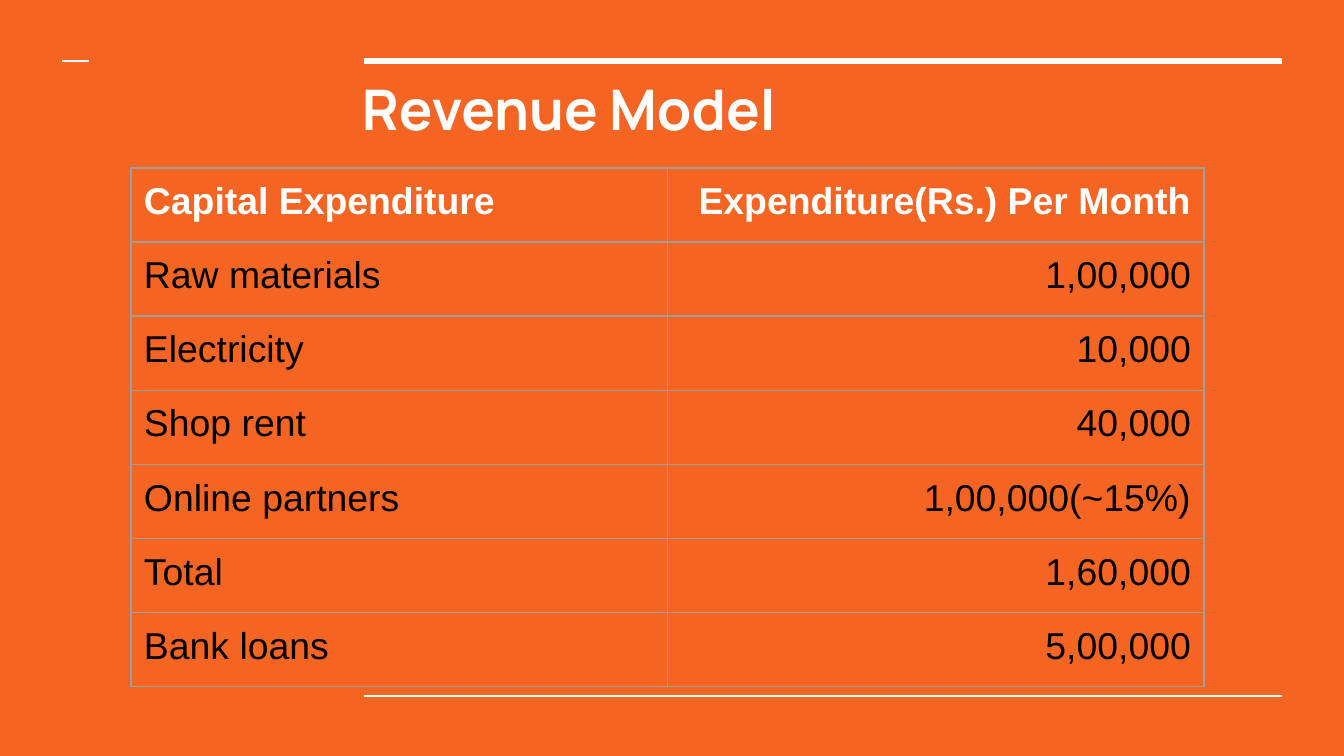
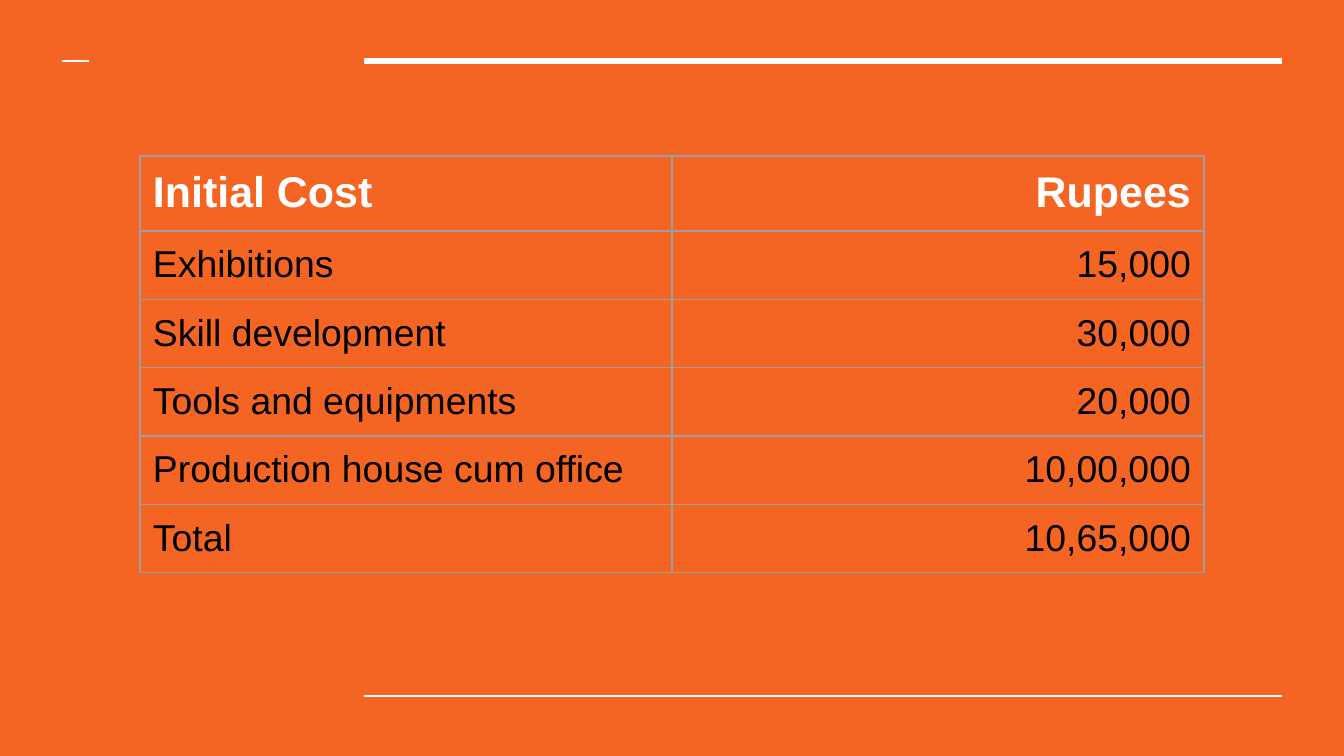
from dataclasses import dataclass

from lxml import etree
from pptx import Presentation
from pptx.dml.color import RGBColor
from pptx.enum.shapes import MSO_CONNECTOR
from pptx.enum.text import MSO_ANCHOR, PP_ALIGN
from pptx.oxml.ns import qn
from pptx.util import Pt

STRAIGHT = MSO_CONNECTOR.STRAIGHT
TOP = MSO_ANCHOR.TOP
LEFT, RIGHT = PP_ALIGN.LEFT, PP_ALIGN.RIGHT
SCALE = 914400 / 134.4
WIDTH, HEIGHT = 1344, 756
INSET = 13


@dataclass(frozen=True)
class Theme:
    back: str = "F46524"
    light: str = "FFFFFF"
    dark: str = "000000"
    grid: str = "9E9E9E"
    head: str = "Manrope"
    body: str = "Arial"
    title: int = 30
    large: int = 23
    text: int = 20
    thick: float = 3
    thin: float = 1.5
    hair: float = 0.75


THEME = Theme()

REVENUE = [
    ("Capital Expenditure", "Expenditure(Rs.) Per Month"),
    ("Raw materials", "1,00,000"),
    ("Electricity", "10,000"),
    ("Shop rent", "40,000"),
    ("Online partners", "1,00,000(~15%)"),
    ("Total", "1,60,000"),
    ("Bank loans", "5,00,000"),
]
COSTS = [
    ("Initial Cost", "Rupees"),
    ("Exhibitions", "15,000"),
    ("Skill development", "30,000"),
    ("Tools and equipments", "20,000"),
    ("Production house cum office", "10,00,000"),
    ("Total", "10,65,000"),
]


def px(count):
    return round(count * SCALE)


def style(para, face, size, color, bold):
    for run in para.runs:
        font = run.font
        font.name, font.size, font.bold = face, Pt(size), bold
        font.color.rgb = RGBColor.from_string(color)


def pad(item):
    """Give a cell or a text frame the shared inset on all sides."""
    item.margin_left = item.margin_right = px(INSET)
    item.margin_top = item.margin_bottom = px(INSET)


def rule(slide, left, right, y, weight):
    line = slide.shapes.add_connector(STRAIGHT, px(left), px(y), px(right), px(y))
    line.line.color.rgb = RGBColor.from_string(THEME.light)
    line.line.width = Pt(weight)
    etree.SubElement(line._element.spPr, qn("a:effectLst"))


def frame(deck):
    """Add a slide with the shared background and rules."""
    slide = deck.slides.add_slide(deck.slide_layouts[6])
    fill = slide.background.fill
    fill.solid()
    fill.fore_color.rgb = RGBColor.from_string(THEME.back)
    rule(slide, 364, 1282, 61, THEME.thick)
    rule(slide, 364, 1282, 696, THEME.thin)
    rule(slide, 62, 89, 61, THEME.thin)
    return slide


def title(slide, box, words):
    text = slide.shapes.add_textbox(*map(px, box)).text_frame
    text.word_wrap = True
    text.vertical_anchor = TOP
    pad(text)
    text.text = words
    para = text.paragraphs[0]
    para.line_spacing = 0.95
    style(para, THEME.head, THEME.title, THEME.light, True)


def border(cell):
    props = cell._tc.get_or_add_tcPr()
    for side in ("lnL", "lnR", "lnT", "lnB"):
        line = etree.SubElement(props, qn(f"a:{side}"), w=str(Pt(THEME.hair)))
        fill = etree.SubElement(line, qn("a:solidFill"))
        etree.SubElement(fill, qn("a:srgbClr"), val=THEME.grid)


def table(slide, box, data, top, size):
    """Fill the box: a header row of height top, then equal body rows."""
    left, y, width, height = box
    shape = slide.shapes.add_table(len(data), 2, *map(px, box))
    grid = shape.table
    grid.first_row = grid.horz_banding = False
    for col in grid.columns:
        col.width = px(width / 2)
    step = (height - top) / (len(data) - 1)
    for i, pair in enumerate(data):
        grid.rows[i].height = px(step if i else top)
        for j, words in enumerate(pair):
            cell = grid.cell(i, j)
            border(cell)
            cell.fill.background()
            pad(cell)
            cell.text = words
            para = cell.text_frame.paragraphs[0]
            para.alignment = RIGHT if j else LEFT
            if i:
                style(para, THEME.body, THEME.text, THEME.dark, False)
            else:
                style(para, THEME.body, size, THEME.light, True)


def main():
    deck = Presentation()
    deck.slide_width, deck.slide_height = px(WIDTH), px(HEIGHT)

    slide = frame(deck)
    title(slide, (349, 66, 930, 117), "Revenue Model")
    table(slide, (131, 168, 1073, 519), REVENUE, 74, THEME.text)

    slide = frame(deck)
    table(slide, (140, 156, 1064, 417), COSTS, 75, THEME.large)

    deck.save("out.pptx")


if __name__ == "__main__":
    main()
